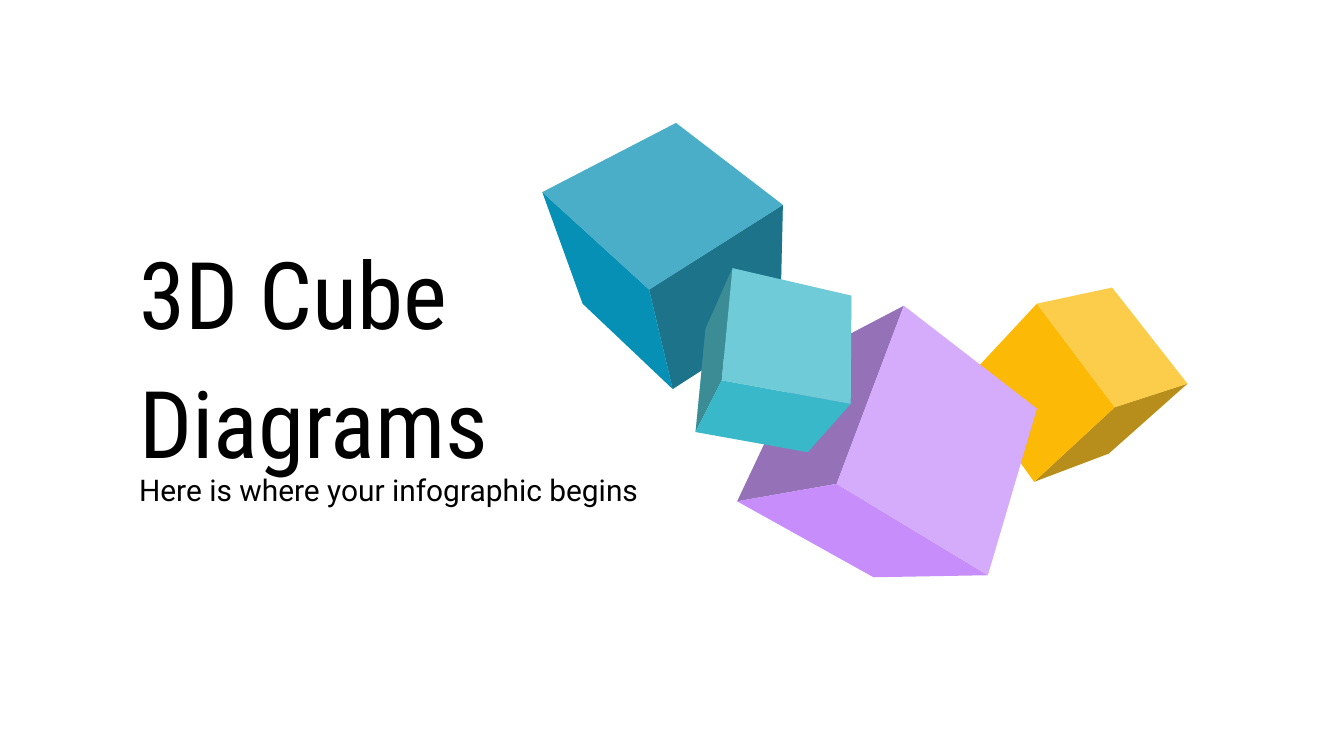
"""Build the 3D cube title slide."""
from lxml import etree
from pptx import Presentation
from pptx.dml.color import RGBColor
from pptx.oxml.ns import qn
from pptx.util import Pt

PX = 9144
WIDE, HIGH, INSET = 2000, 1125, 20

HUES = {
    "text": "000000",
    "blue": "0690B5",
    "gold": "FCBA06",
    "plum": "C68DFB",
    "teal": "38B8C8",
    "dark": "434343",
    "light": "FFFFFF",
}
TINTS = [("dark", 37), None, ("light", 28)]

TEXTS = [
    ("3D Cube Diagrams", (187, 307, 737, 332), 100, "Roboto Condensed"),
    ("Here is where your infographic begins", (187, 674, 843, 75), 32, "Roboto"),
]

CUBES = [
    ("blue", (966, 431), [(1165, 305), (1161, 476), (1001, 579),
                          (867, 452), (807, 286), (1006, 183)]),
    ("gold", (1659, 606), [(1767, 571), (1650, 675), (1539, 717),
                           (1433, 570), (1543, 452), (1655, 428)]),
    ("plum", (1245, 720), [(1345, 455), (1198, 532), (1097, 746),
                           (1300, 859), (1470, 856), (1543, 608)]),
    ("teal", (1074, 566), [(1090, 399), (1050, 489), (1035, 643),
                           (1202, 673), (1266, 601), (1267, 440)]),
]


def add_text(slide, words, box, size, font):
    frame = slide.shapes.add_textbox(*(n * PX for n in box)).text_frame
    frame.word_wrap = True
    frame.margin_left = frame.margin_right = INSET * PX
    frame.margin_top = frame.margin_bottom = INSET * PX
    frame.text = words
    para = frame.paragraphs[0]
    para.line_spacing = 1.15
    para.space_after = Pt(32)
    style = para.runs[0].font
    style.size = Pt(size)
    style.name = font
    style.color.rgb = RGBColor.from_string(HUES["text"])


def add_face(slide, points, hue, alpha=100):
    pen = slide.shapes.build_freeform(*points[0], scale=PX)
    pen.add_line_segments(points[1:], close=True)
    face = pen.convert_to_shape()
    face.shadow.inherit = False
    face.line.fill.background()
    face.fill.solid()
    face.fill.fore_color.rgb = RGBColor.from_string(HUES[hue])
    if alpha < 100:
        color = face.fill._xPr.find(".//" + qn("a:srgbClr"))
        etree.SubElement(color, qn("a:alpha"), val=str(alpha * 1000))


def add_cube(slide, hue, hub, ring):
    for i, tint in enumerate(TINTS):
        points = [hub] + [ring[(2 * i + k) % 6] for k in range(3)]
        add_face(slide, points, hue)
        if tint:
            add_face(slide, points, *tint)


def main():
    deck = Presentation()
    deck.slide_width, deck.slide_height = WIDE * PX, HIGH * PX
    slide = deck.slides.add_slide(deck.slide_layouts[6])
    for text in TEXTS:
        add_text(slide, *text)
    for cube in CUBES:
        add_cube(slide, *cube)
    deck.save("out.pptx")


if __name__ == "__main__":
    main()
